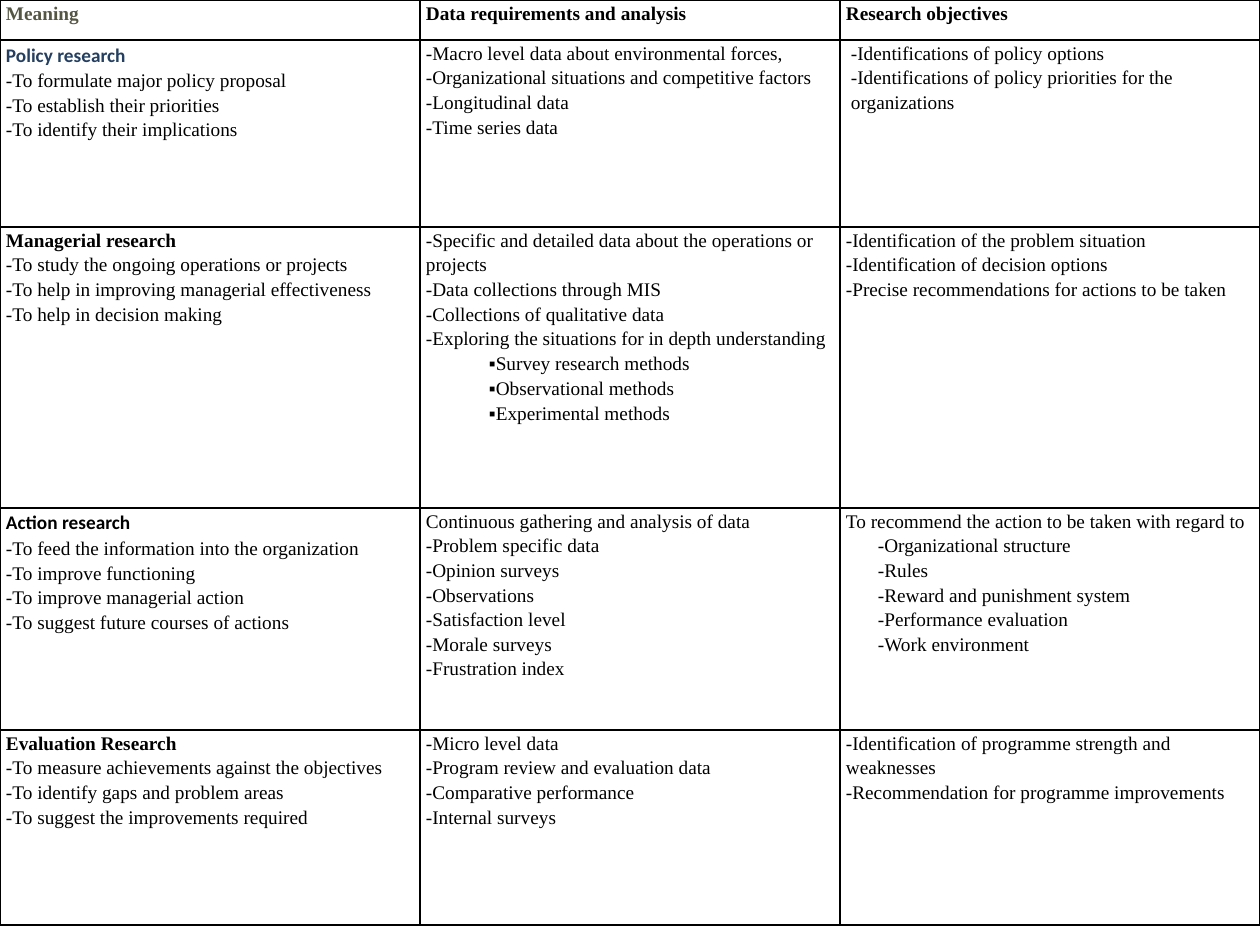
from dataclasses import dataclass

from lxml.etree import SubElement as Sub
from pptx import Presentation
from pptx.dml.color import RGBColor
from pptx.enum.text import PP_ALIGN as Align
from pptx.oxml.ns import qn
from pptx.util import Pt

SCALE = 914400 / 126  # EMU in one px
BLACK = "000000"
SERIF = "Times New Roman"
SANS = "Calibri"


@dataclass
class Line:
    text: str
    bold: bool = False
    font: str = SERIF
    hue: str = BLACK
    dent: int = 0
    mark: str = ""


@dataclass
class Cell:
    lines: list[Line]
    just: bool = False


def px(num: float) -> int:
    return round(num * SCALE)


def color(code: str) -> RGBColor:
    return RGBColor.from_string(code)


def head(text: str, font: str = SERIF, hue: str = BLACK) -> Line:
    return Line(text, True, font, hue)


def items(*texts: str, dent: int = 0, mark: str = "") -> list[Line]:
    return [Line(text, dent=dent, mark=mark) for text in texts]


def add_run(para, text: str, line: Line, face: str) -> None:
    run = para.add_run()
    run.text = text
    font = run.font
    font.name, font.size, font.bold = face, Pt(11), line.bold
    font.color.rgb = color(line.hue)


def add_line(para, line: Line, just: bool) -> None:
    para.line_spacing = 1.15
    para.alignment = Align.JUSTIFY if just and not line.bold else Align.LEFT
    if line.dent:
        props = para._p.get_or_add_pPr()
        props.set("marL", str(px(line.dent)))
        props.set("indent", "0")
    if line.mark:
        add_run(para, line.mark, line, "Arial")
    add_run(para, line.text, line, line.font)


def add_edges(cell) -> None:
    props = cell._tc.get_or_add_tcPr()
    for side in ("lnL", "lnR", "lnT", "lnB"):
        edge = Sub(props, qn(f"a:{side}"), w=str(Pt(1)))
        fill = Sub(edge, qn("a:solidFill"))
        Sub(fill, qn("a:srgbClr"), val=BLACK)


def draw_cell(cell, data: Cell) -> None:
    cell.margin_left = cell.margin_right = px(6)
    cell.margin_top = cell.margin_bottom = 0
    add_edges(cell)
    cell.fill.background()
    frame = cell.text_frame
    for num, line in enumerate(data.lines):
        para = frame.add_paragraph() if num else frame.paragraphs[0]
        add_line(para, line, data.just)


def draw_table(slide, rows: list[list[Cell]], tall: list[int], wide: int) -> None:
    cols = len(rows[0])
    table = slide.shapes.add_table(
        len(rows), cols, 0, 0, px(wide * cols), px(sum(tall))).table
    table.first_row = table.horz_banding = False
    for col in table.columns:
        col.width = px(wide)
    for row, data, size in zip(table.rows, rows, tall):
        row.height = px(size)
        for cell, part in zip(row.cells, data):
            draw_cell(cell, part)


ROWS = [
    # Column heads
    [Cell([head("Meaning", hue="555544")]),
     Cell([head("Data requirements and analysis")]),
     Cell([head("Research objectives")])],
    # Policy
    [Cell([head("Policy research", SANS, "243F60"),
           *items("-To formulate major policy proposal",
                  "-To establish their priorities",
                  "-To identify their implications")]),
     Cell(items("-Macro level data about environmental forces,",
                "-Organizational situations and competitive factors",
                "-Longitudinal data",
                "-Time series data")),
     Cell(items("-Identifications of policy options",
                "-Identifications of policy priorities for the organizations",
                dent=5))],
    # Managerial
    [Cell([head("Managerial research"),
           *items("-To study the ongoing operations or projects",
                  "-To help in improving managerial effectiveness",
                  "-To help in decision making")]),
     Cell([*items("-Specific and detailed data about the operations or projects",
                  "-Data collections through MIS",
                  "-Collections of qualitative data",
                  "-Exploring the situations for in depth understanding"),
           *items("Survey research methods",
                  "Observational methods",
                  "Experimental methods", dent=63, mark="▪")]),
     Cell(items("-Identification of the problem situation",
                "-Identification of decision options",
                "-Precise recommendations for actions to be taken"))],
    # Action
    [Cell([head("Action research", SANS),
           *items("-To feed the information into the organization",
                  "-To improve functioning",
                  "-To improve managerial action",
                  "-To suggest future courses of actions")], True),
     Cell(items("Continuous gathering and analysis of data",
                "-Problem specific data",
                "-Opinion surveys",
                "-Observations",
                "-Satisfaction level",
                "-Morale surveys",
                "-Frustration index"), True),
     Cell([*items("To recommend the action to be taken with regard to"),
           *items("-Organizational structure",
                  "-Rules",
                  "-Reward and punishment system",
                  "-Performance evaluation",
                  "-Work environment", dent=32)], True)],
    # Evaluation
    [Cell([head("Evaluation Research"),
           *items("-To measure achievements against the objectives",
                  "-To identify gaps and problem areas",
                  "-To suggest the improvements required")], True),
     Cell(items("-Micro level data",
                "-Program review and evaluation data",
                "-Comparative performance",
                "-Internal surveys"), True),
     Cell(items("-Identification of programme strength and weaknesses",
                "-Recommendation for programme improvements"))],
]


def main() -> None:
    deck = Presentation()
    deck.slide_width, deck.slide_height = px(1260), px(945)
    slide = deck.slides.add_slide(deck.slide_layouts[6])
    draw_table(slide, ROWS, [40, 187, 281, 222, 195], 420)
    deck.save("out.pptx")


if __name__ == "__main__":
    main()
